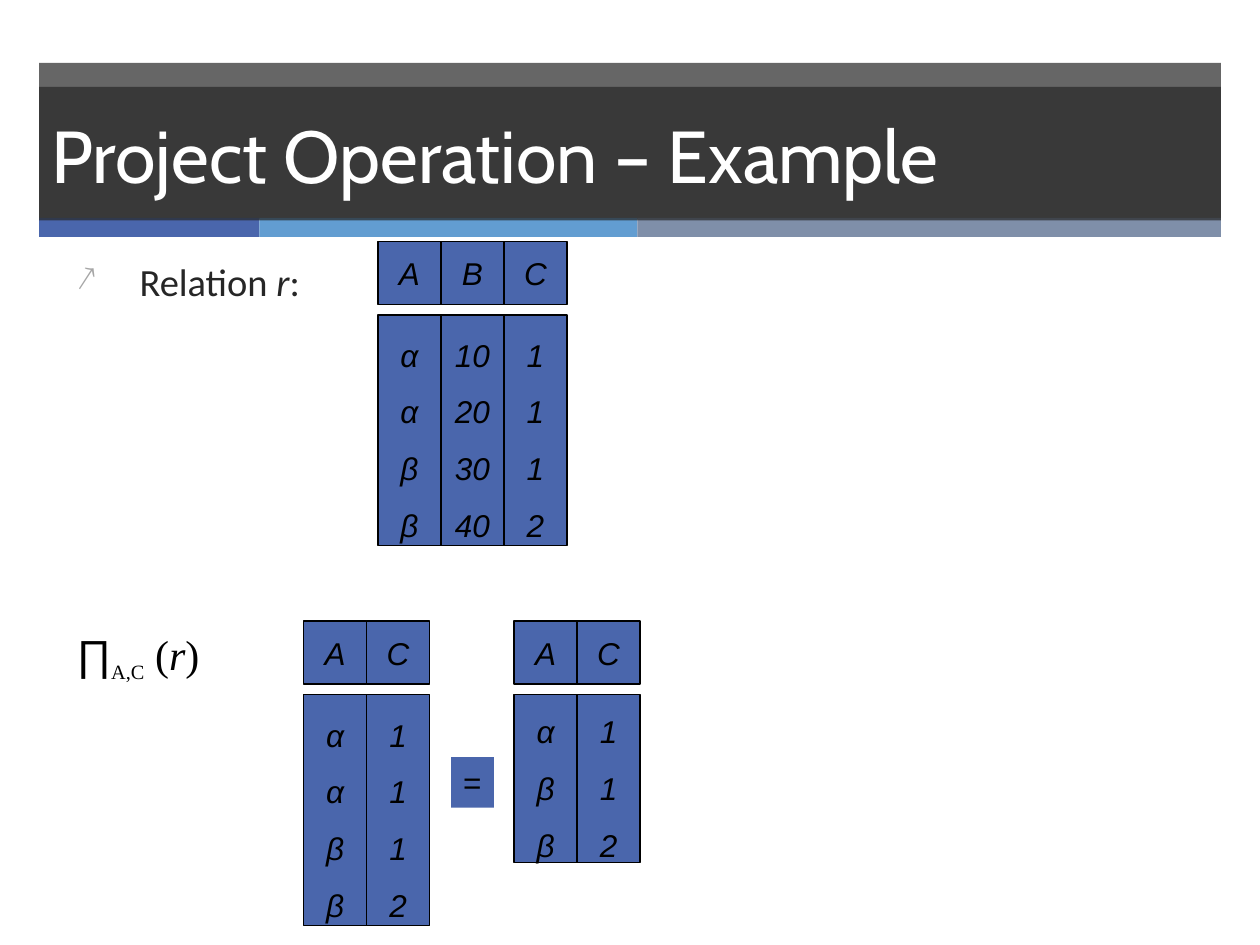
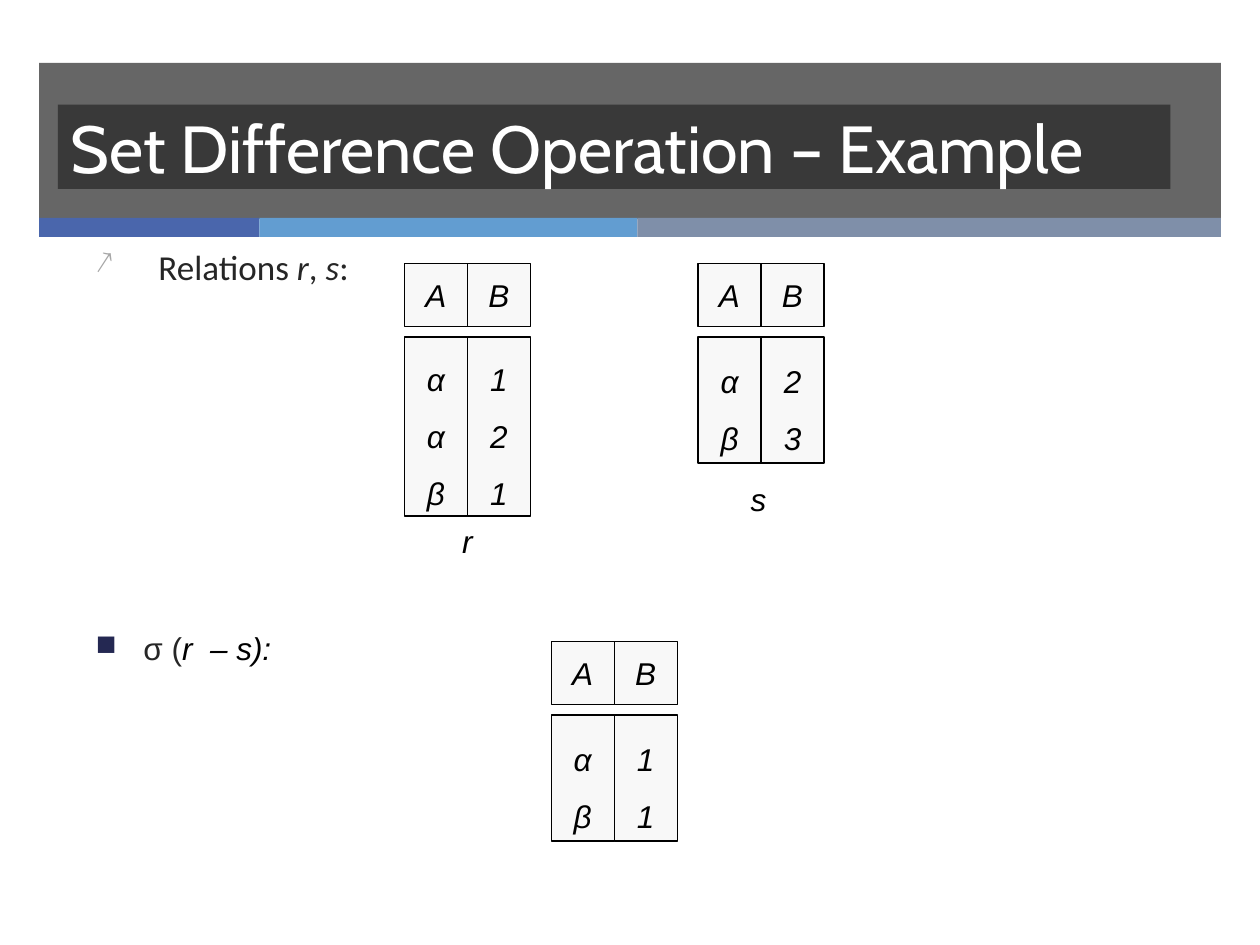
from dataclasses import dataclass

import lxml.etree
import pptx
import pptx.dml.color
import pptx.enum.shapes
import pptx.enum.text
import pptx.oxml.ns
import pptx.util

# Grid: 20 columns by 15 rows of square cells; every length is in cells
CELL = 0.5
COLUMNS, ROWS = 20, 15
BAND_LEFT = 0.62
BODY_OFFSET = 1.17  # from the top of a heading cell to the column below it

COLORS = {
    "dark": "262626", "white": "FFFFFF", "black": "000000",
    "blue": "4A66AC", "sky": "629DD1", "slate": "7F8FA9",
    "pale": "F8F8F8", "arrow": "A6A6A6", "square": "242852",
}
ALIGN = pptx.enum.text.PP_ALIGN
ANCHOR = pptx.enum.text.MSO_ANCHOR


@dataclass(frozen=True)
class Box:
    left: float
    top: float
    width: float
    height: float

    def emu(self) -> list[int]:
        return [pptx.util.Inches(v * CELL)
                for v in (self.left, self.top, self.width, self.height)]


@dataclass(frozen=True)
class Words:
    text: str
    size: float = 18
    font: str = "Arial"
    color: str = "black"
    italic: bool = False
    baseline: int = 0


@dataclass(frozen=True)
class Bullet:
    mark: str
    color: str
    indent: float  # inches


@dataclass(frozen=True)
class Style:
    align: ALIGN = ALIGN.LEFT
    line: float | None = None
    before: float | None = None
    bullet: Bullet | None = None


@dataclass(frozen=True)
class Relation:
    left: float
    top: float
    heading: str
    tuples: tuple[str, ...]
    body_height: float
    fill: str


HEADING = Style(ALIGN.CENTER)
COLUMN = Style(ALIGN.CENTER, line=1.5)
LABEL = Style(ALIGN.CENTER, before=11.2)


def rgb(name: str) -> pptx.dml.color.RGBColor:
    return pptx.dml.color.RGBColor.from_string(COLORS[name])


def add_xml(parent, tag: str, **attributes: str):
    return lxml.etree.SubElement(parent, pptx.oxml.ns.qn(tag), attributes)


def add_rect(slide, box: Box, fill: str, outlined: bool = False,
             opacity: int = 100):
    rect = slide.shapes.add_shape(
        pptx.enum.shapes.MSO_SHAPE.RECTANGLE, *box.emu())
    rect.shadow.inherit = False
    rect.fill.solid()
    rect.fill.fore_color.rgb = rgb(fill)
    if opacity < 100:
        tint = rect._element.spPr.find(".//" + pptx.oxml.ns.qn("a:srgbClr"))
        add_xml(tint, "a:alpha", val=str(opacity * 1000))
    if outlined:
        rect.line.color.rgb = rgb("black")
        rect.line.width = pptx.util.Pt(0.75)
    else:
        rect.line.fill.background()
    return rect


def write(shape, paragraphs: list[list[Words]], style: Style = Style(),
          middle: bool = True, wrap: bool = False) -> None:
    frame = shape.text_frame
    frame.word_wrap = wrap
    frame.vertical_anchor = ANCHOR.MIDDLE if middle else ANCHOR.TOP
    for index, pieces in enumerate(paragraphs):
        paragraph = frame.add_paragraph() if index else frame.paragraphs[0]
        paragraph.alignment = style.align
        if style.line:
            paragraph.line_spacing = style.line
        if style.before:
            paragraph.space_before = pptx.util.Pt(style.before)
        if style.bullet:
            add_bullet(paragraph, style.bullet)
        for words in pieces:
            run = paragraph.add_run()
            run.text = words.text
            run.font.size = pptx.util.Pt(words.size)
            run.font.name = words.font
            run.font.italic = words.italic
            run.font.color.rgb = rgb(words.color)
            if words.baseline:
                run._r.get_or_add_rPr().set(
                    "baseline", str(words.baseline * 1000))


def add_bullet(paragraph, bullet: Bullet) -> None:
    properties = paragraph._p.get_or_add_pPr()
    indent = pptx.util.Inches(bullet.indent)
    properties.set("marL", str(indent))
    properties.set("indent", str(-indent))
    color = add_xml(properties, "a:buClr")
    add_xml(color, "a:srgbClr", val=COLORS[bullet.color])
    add_xml(properties, "a:buSzPct", val="90000")
    add_xml(properties, "a:buChar", char=bullet.mark)


def add_text(slide, box: Box, pieces: list[Words], style: Style = Style()) -> None:
    write(slide.shapes.add_textbox(*box.emu()), [pieces], style,
          middle=False, wrap=True)


def add_label(slide, box: Box, words: Words, fill: str | None = None) -> None:
    label = (add_rect(slide, box, fill) if fill
             else slide.shapes.add_textbox(*box.emu()))
    write(label, [[words]], LABEL)


def add_relation(slide, relation: Relation) -> None:
    columns = zip(*(row.split() for row in relation.tuples))
    for index, (name, values) in enumerate(zip(relation.heading, columns)):
        left = relation.left + index
        heading = Box(left, relation.top, 1, 1)
        body = Box(left, relation.top + BODY_OFFSET, 1, relation.body_height)
        for box, entries, style in ((heading, [name], HEADING),
                                    (body, values, COLUMN)):
            write(add_rect(slide, box, relation.fill, outlined=True),
                  [[Words(entry, italic=True)] for entry in entries], style)


def add_titled_slide(deck, title: str, size: float, box: Box):
    slide = deck.slides.add_slide(deck.slide_layouts[6])
    add_rect(slide, Box(BAND_LEFT, 1, 18.76, 2.48), "dark", opacity=70)
    left = BAND_LEFT
    for color, width in (("blue", 3.5), ("sky", 6), ("slate", 9.26)):
        add_rect(slide, Box(left, 3.46, width, 0.3), color)
        left += width
    write(add_rect(slide, box, "dark", opacity=70),
          [[Words(title, size, "Cabin", "white")]], wrap=True)
    return slide


def lead_in(size: float, *parts: tuple[str, bool]) -> list[Words]:
    return [Words(text, size, "Calibri", "dark", italic)
            for text, italic in parts]


def build_project(deck) -> None:
    slide = add_titled_slide(deck, "Project Operation – Example", 42,
                             Box(BAND_LEFT, 1.38, 18.76, 2.12))
    add_text(slide, Box(1.02, 4.08, 15, 0.9),
             lead_in(22, ("Relation", False), (" r", True), (":", False)),
             Style(line=0.9, before=20, bullet=Bullet("↗", "arrow", 0.5)))

    # Relation r, its projection, and the projection without duplicates
    for relation in (
        Relation(6, 3.83, "ABC", ("α 10 1", "α 20 1", "β 30 1", "β 40 2"),
                 3.66, "blue"),
        Relation(4.82, 9.86, "AC", ("α 1", "α 1", "β 1", "β 2"), 3.66, "blue"),
        Relation(8.16, 9.86, "AC", ("α 1", "β 1", "β 2"), 2.66, "blue"),
    ):
        add_relation(slide, relation)
    add_label(slide, Box(7.16, 12.02, 0.68, 0.8), Words("="), "blue")

    # Projection formula
    serif = "Times New Roman"
    add_text(slide, Box(1.02, 9.88, 15.38, 0.9), [
        Words("∏", 24), Words("A,C", 20, serif, baseline=-25),
        Words(" (", 24, serif), Words("r", 24, serif, italic=True),
        Words(")", 24, serif)])


def build_difference(deck) -> None:
    slide = add_titled_slide(deck, "Set Difference Operation – Example", 38,
                             Box(0.92, 1.66, 17.66, 1.34))
    add_text(slide, Box(1.32, 3.98, 15, 0.74),
             lead_in(20, ("Relations ", False), ("r", True), (", ", False),
                     ("s", True), (":", False)),
             Style(line=0.7, before=20, bullet=Bullet("↗", "arrow", 0.5)))
    add_text(slide, Box(1.32, 9.96, 15.38, 0.72),
             [Words("σ (", color="dark"), Words("r  – s):", italic=True)],
             Style(line=0.9, before=7.9, bullet=Bullet("■", "square", 0.38)))

    # Relations r and s, then their difference
    for relation in (
        Relation(6.42, 4.18, "AB", ("α 1", "α 2", "β 1"), 2.84, "pale"),
        Relation(11.08, 4.18, "AB", ("α 2", "β 3"), 2, "pale"),
        Relation(8.75, 10.18, "AB", ("α 1", "β 1"), 2, "pale"),
    ):
        add_relation(slide, relation)
    add_label(slide, Box(7.14, 8.18, 0.56, 0.8), Words("r", italic=True))
    add_label(slide, Box(11.72, 7.52, 0.64, 0.8), Words("s", italic=True))


def main() -> None:
    deck = pptx.Presentation()
    deck.slide_width = pptx.util.Inches(COLUMNS * CELL)
    deck.slide_height = pptx.util.Inches(ROWS * CELL)
    build_project(deck)
    build_difference(deck)
    deck.save("out.pptx")


if __name__ == "__main__":
    main()
